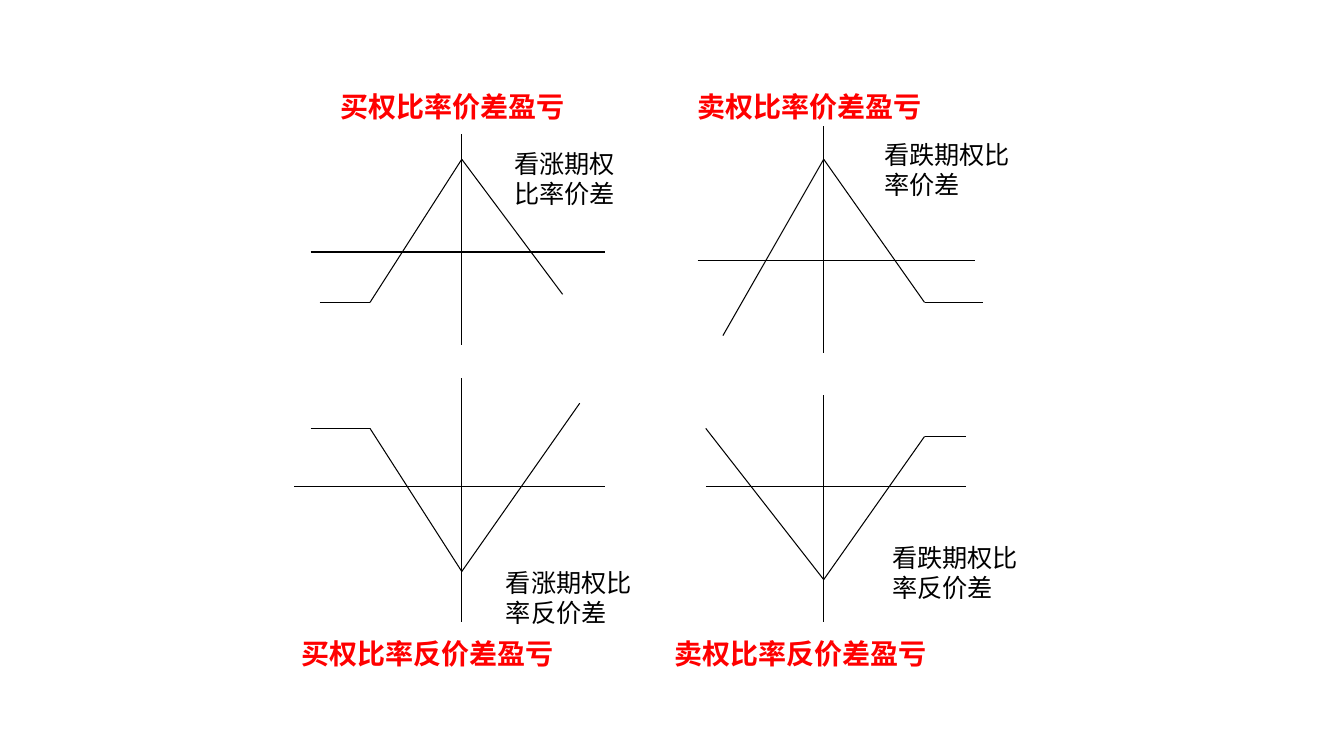
from dataclasses import dataclass
from itertools import pairwise

from lxml.etree import SubElement
from pptx import Presentation
from pptx.dml.color import RGBColor as Color
from pptx.enum.shapes import MSO_CONNECTOR as Link
from pptx.oxml.ns import qn
from pptx.util import Inches, Pt


@dataclass(frozen=True)
class Theme:
    font: str = "Noto Sans CJK SC"
    ink: Color = Color(0, 0, 0)
    red: Color = Color(255, 0, 0)
    note: int = 18
    title: int = 20
    line: float = 0.75


class Board:
    def __init__(self, slide, theme):
        self.slide = slide
        self.theme = theme

    def line(self, start, end):
        ends = [Inches(n) for n in (*start, *end)]
        link = self.slide.shapes.add_connector(Link.STRAIGHT, *ends)
        link.line.color.rgb = self.theme.ink
        link.line.width = Pt(self.theme.line)
        SubElement(link._element.spPr, qn("a:effectLst"))

    def curve(self, points):
        for start, end in pairwise(points):
            self.line(start, end)

    def axes(self, mid, level, span, reach):
        self.line((span[0], level), (span[1], level))
        self.line((mid, reach[0]), (mid, reach[1]))

    def text(self, words, box, size, color, bold=False):
        frame = self.slide.shapes.add_textbox(*[Inches(n) for n in box]).text_frame
        frame.word_wrap = True
        frame.text = words
        run = frame.paragraphs[0].runs[0]
        font = run.font
        font.name = self.theme.font
        font.size = Pt(size)
        font.bold = bold
        font.color.rgb = color
        SubElement(font._element, qn("a:ea"), typeface=self.theme.font)

    def note(self, words, left, top, width):
        self.text(words, (left, top, width, 0.7), self.theme.note, self.theme.ink)

    def title(self, words, left, top, width):
        box = (left, top, width, 0.44)
        self.text(words, box, self.theme.title, self.theme.red, True)


LEFT, RIGHT = 4.58, 8.17
HIGH, LOW = 0.84, 6.27

CHARTS = [
    (
        (LEFT, 2.5, (3.08, 6), (1.33, 3.42)),
        [(3.17, 3), (3.67, 3), (LEFT, 1.58), (5.58, 2.92)],
        ("看涨期权比率价差", 5, 1.42, 1.42),
        ("买权比率价差盈亏", 3.28, HIGH, 2.52),
    ),
    (
        (RIGHT, 2.58, (6.92, 9.67), (1.25, 3.5)),
        [(7.17, 3.33), (RIGHT, 1.58), (9.17, 3), (9.75, 3)],
        ("看跌期权比率价差", 8.67, 1.33, 1.58),
        ("卖权比率价差盈亏", 6.82, HIGH, 2.52),
    ),
    (
        (LEFT, 4.83, (2.92, 6), (3.75, 6.17)),
        [(3.08, 4.25), (3.67, 4.25), (LEFT, 5.67), (5.75, 4)],
        ("看涨期权比率反价差", 4.92, 5.58, 1.5),
        ("买权比率反价差盈亏", 2.89, LOW, 2.99),
    ),
    (
        (RIGHT, 4.83, (7, 9.58), (3.92, 6.17)),
        [(7, 4.25), (RIGHT, 5.75), (9.17, 4.33), (9.58, 4.33)],
        ("看跌期权比率反价差", 8.75, 5.33, 1.67),
        ("卖权比率反价差盈亏", 6.59, LOW, 2.99),
    ),
]


def main():
    deck = Presentation()
    deck.slide_width = Inches(13.33)
    deck.slide_height = Inches(7.5)
    board = Board(deck.slides.add_slide(deck.slide_layouts[6]), Theme())
    for axes, points, note, title in CHARTS:
        board.axes(*axes)
        board.curve(points)
        board.note(*note)
        board.title(*title)
    deck.save("out.pptx")


if __name__ == "__main__":
    main()
